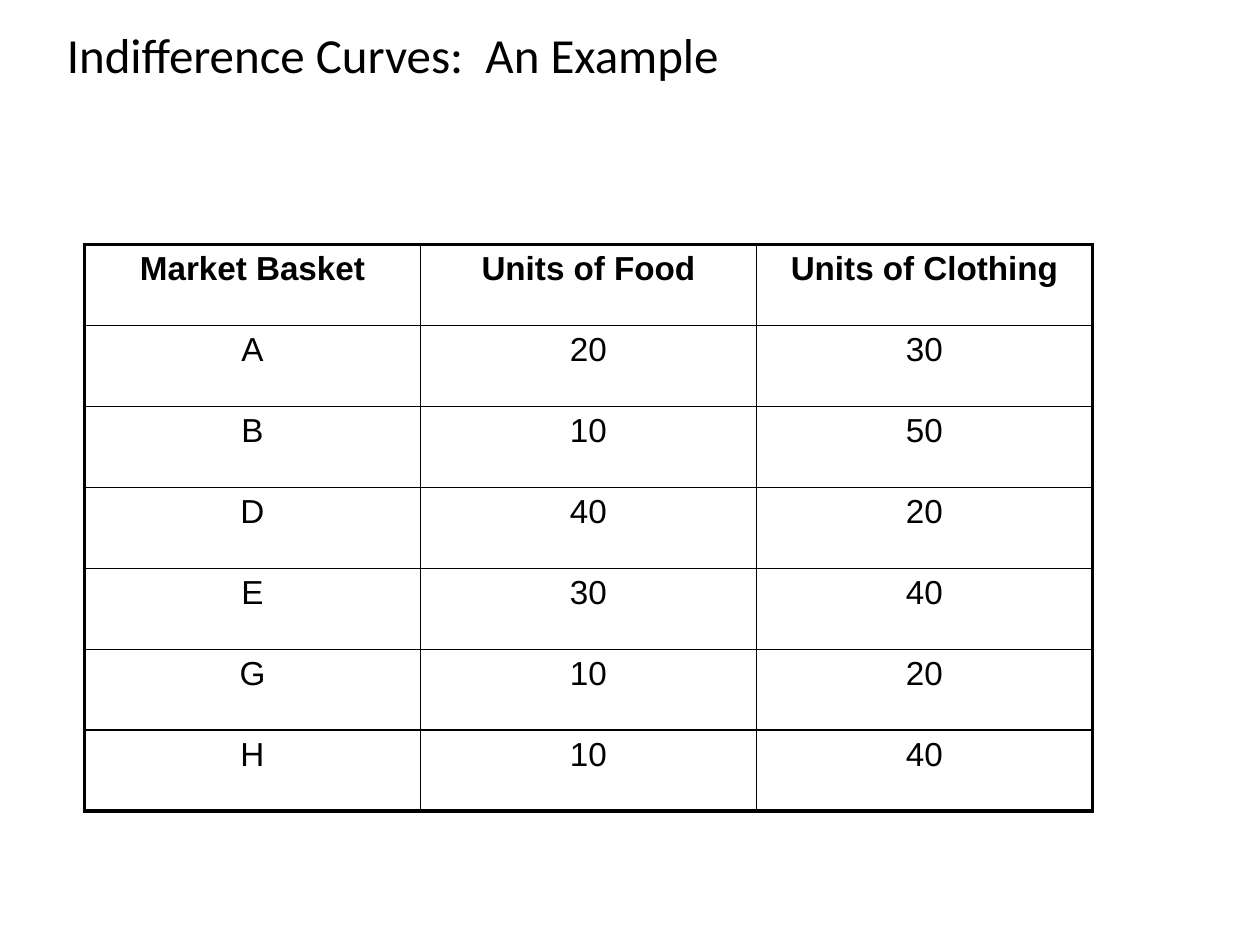
import pptx
import pptx.util
import pptx.dml.color
import pptx.enum.text
import pptx.oxml
import pptx.oxml.ns

TITLE = "Indifference Curves:  An Example"
BASKETS = [
    ("Market Basket", "Units of Food", "Units of Clothing"),
    ("A", "20", "30"),
    ("B", "10", "50"),
    ("D", "40", "20"),
    ("E", "30", "40"),
    ("G", "10", "20"),
    ("H", "10", "40"),
]
THEME = {
    "ink": "000000",
    "title_font": "Calibri",
    "title_size": 28,
    "table_font": "Arial",
    "table_size": 19,
    "outer_line": 2.25,
    "inner_line": 1,
}
ALIGN = pptx.enum.text.PP_ALIGN
ANCHOR = pptx.enum.text.MSO_ANCHOR


def write(frame, text, font, size, bold=False, align=ALIGN.LEFT):
    paragraph = frame.paragraphs[0]
    paragraph.alignment = align
    run = paragraph.add_run()
    run.text = text
    run.font.name = font
    run.font.size = pptx.util.Pt(size)
    run.font.bold = bold
    run.font.color.rgb = pptx.dml.color.RGBColor.from_string(THEME["ink"])


def draw_borders(cell, outer_sides):
    properties = cell._tc.get_or_add_tcPr()
    for position, side in enumerate("LRTB"):
        weight = THEME["outer_line" if side in outer_sides else "inner_line"]
        properties.insert(position, pptx.oxml.parse_xml(
            f'<a:ln{side} {pptx.oxml.ns.nsdecls("a")} w="{pptx.util.Pt(weight)}">'
            f'<a:solidFill><a:srgbClr val="{THEME["ink"]}"/></a:solidFill>'
            f'</a:ln{side}>'))


deck = pptx.Presentation()
deck.slide_width = pptx.util.Inches(10)
deck.slide_height = pptx.util.Inches(7.5)
slide = deck.slides.add_slide(deck.slide_layouts[5])

heading = slide.shapes.title
heading.left = heading.top = 0
heading.width = int(deck.slide_width * 0.8)
heading.height = pptx.util.Inches(0.86)
heading.text_frame.margin_left = pptx.util.Inches(0.53)
heading.text_frame.vertical_anchor = ANCHOR.MIDDLE
write(heading.text_frame, TITLE, THEME["title_font"], THEME["title_size"])

row_count, column_count = len(BASKETS), len(BASKETS[0])
table = slide.shapes.add_table(
    row_count, column_count,
    pptx.util.Inches(0.67), pptx.util.Inches(1.94),
    int(deck.slide_width * 0.8), int(deck.slide_height * 0.6)).table
table.first_row = table.horz_banding = False

for row, basket in enumerate(BASKETS):
    for column, value in enumerate(basket):
        cell = table.cell(row, column)
        cell.fill.background()
        cell.vertical_anchor = ANCHOR.TOP
        write(cell.text_frame, value, THEME["table_font"], THEME["table_size"],
              bold=row == 0, align=ALIGN.CENTER)
        edges = {"L": column == 0, "R": column == column_count - 1,
                 "T": row == 0, "B": row == row_count - 1}
        draw_borders(cell, [side for side, outer in edges.items() if outer])

deck.save("out.pptx")
